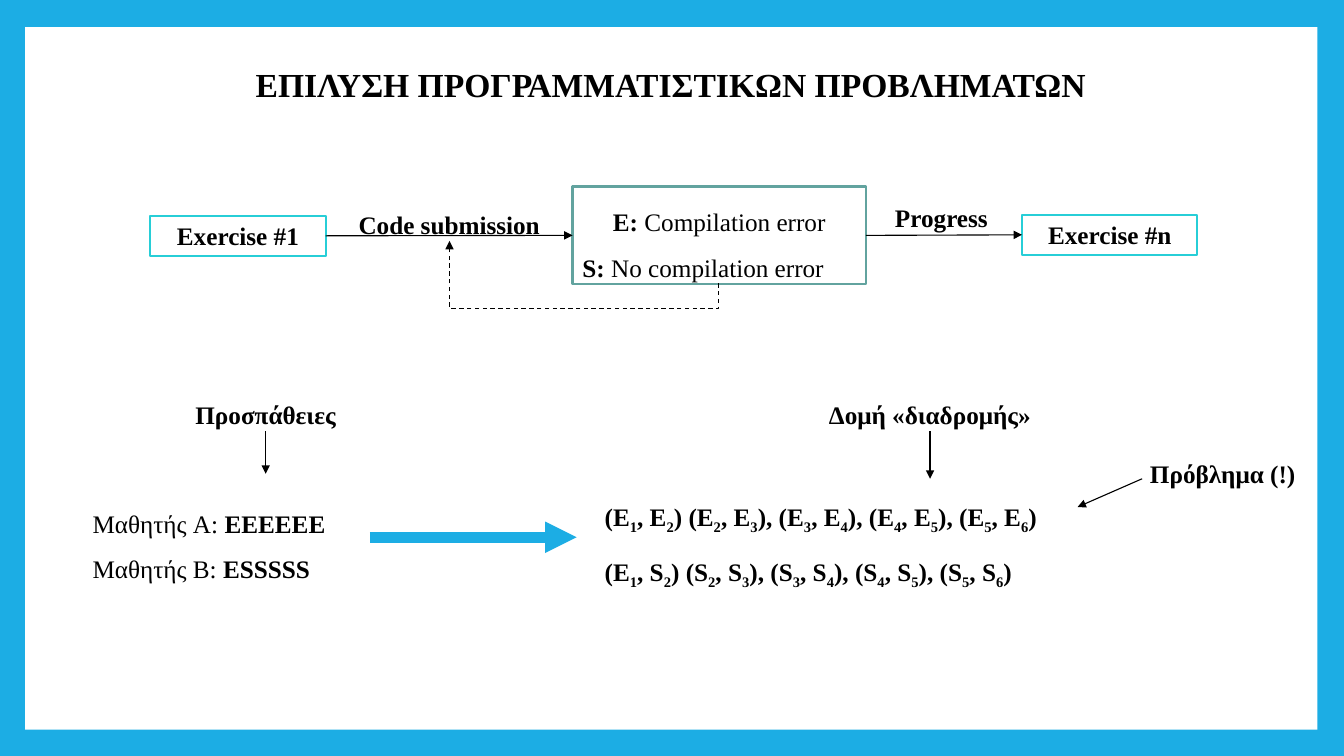
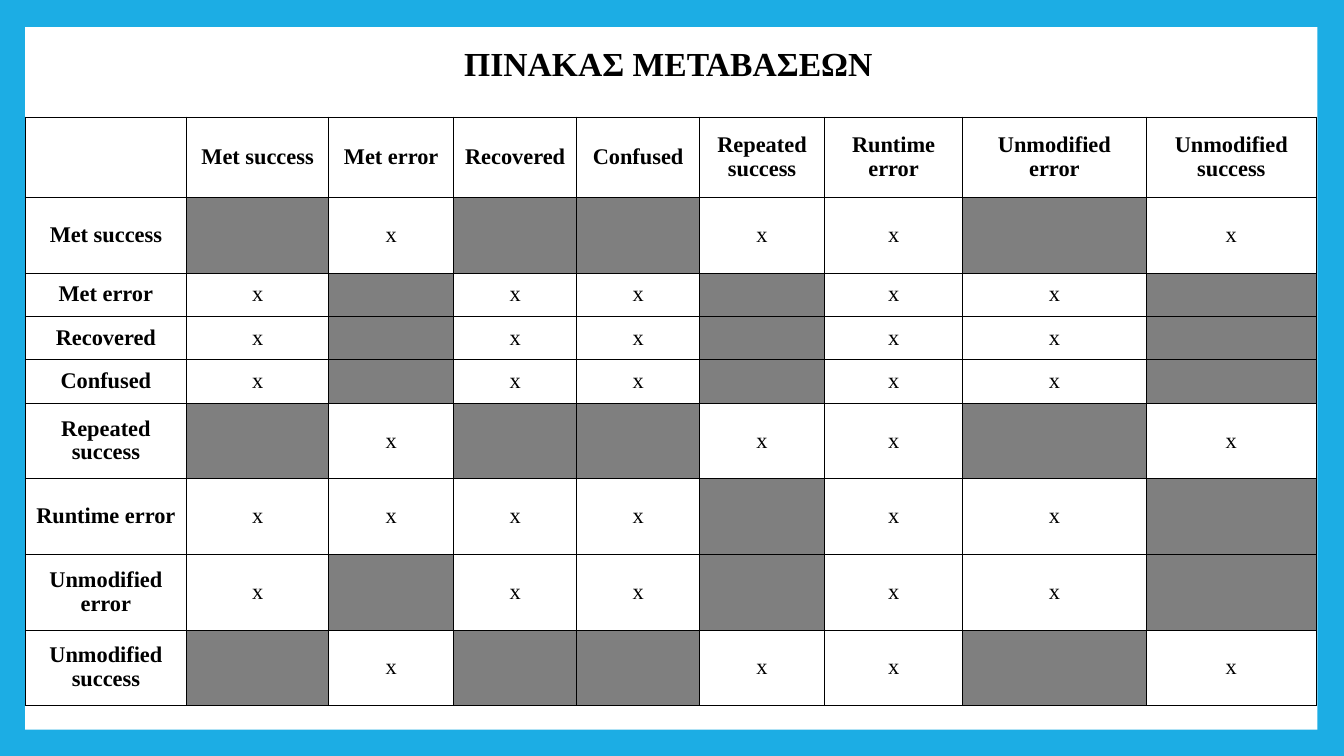
"""Build two slides on programming exercises: the solving process and its transition table."""
import itertools
from dataclasses import dataclass
from typing import Any, NamedTuple

import lxml.etree
import pptx
import pptx.dml.color
import pptx.enum.dml
import pptx.enum.shapes
import pptx.enum.text
import pptx.oxml
import pptx.oxml.ns
import pptx.presentation
import pptx.shapes.autoshape
import pptx.shapes.connector
import pptx.slide
import pptx.table
import pptx.text.text
import pptx.util

SLIDE_WIDTH = pptx.util.Inches(13.333)
SLIDE_HEIGHT = pptx.util.Inches(7.5)
FONT = "Times New Roman"
COLORS = {
    "frame": "1CADE4",
    "panel": "FFFFFF",
    "ink": "000000",
    "exercise": "27CED7",
    "result": "62A39F",
    "impossible": "7F7F7F",
}
ALIGN = pptx.enum.text.PP_ALIGN
ANCHOR = pptx.enum.text.MSO_ANCHOR
CONNECTOR = pptx.enum.shapes.MSO_CONNECTOR
RECTANGLE = pptx.enum.shapes.MSO_SHAPE.RECTANGLE
CENTERED = {"alignment": ALIGN.CENTER}
SPACED = {"line_spacing": 1.5}
LABEL = CENTERED | SPACED
CELL = CENTERED | {"line_spacing": 0.95}
TOP_FRAME = {"word_wrap": True, "vertical_anchor": ANCHOR.TOP}
MIDDLE_FRAME = {"word_wrap": True, "vertical_anchor": ANCHOR.MIDDLE}
TITLE_FRAME = TOP_FRAME | {"auto_size": pptx.enum.text.MSO_AUTO_SIZE.NONE}


class Area(NamedTuple):
    """Hold a place in percent of the slide's width and height."""

    left: float
    top: float
    width: float
    height: float


class Point(NamedTuple):
    """Hold a point in percent of the slide's width and height."""

    x: float
    y: float


class Run(NamedTuple):
    """Hold a stretch of text in one style."""

    text: str
    bold: bool = True
    subscript: bool = False


Lines = list[list[Run]]


@dataclass(frozen=True)
class Block:
    """Describe a text block, outlined when it has a line colour."""

    area: Area
    lines: Lines
    paragraph: dict[str, Any]
    outline: str = ""
    frame: dict[str, Any] | None = None


@dataclass(frozen=True)
class Arrow:
    """Describe a straight arrow."""

    start: Point
    end: Point
    color: str = "ink"
    weight: float = 0.79


def across(share: float) -> int:
    """Turn a percentage of the slide's width into a length."""
    return round(SLIDE_WIDTH * share / 100)


def down(share: float) -> int:
    """Turn a percentage of the slide's height into a length."""
    return round(SLIDE_HEIGHT * share / 100)


def box(area: Area) -> tuple[int, int, int, int]:
    """Turn an area into left, top, width and height."""
    return across(area.left), down(area.top), across(area.width), down(area.height)


def rgb(name: str) -> pptx.dml.color.RGBColor:
    """Look up a colour."""
    return pptx.dml.color.RGBColor.from_string(COLORS[name])


def apply_format(target: Any, values: dict[str, Any]) -> None:
    """Set each attribute named in the format values."""
    for name, value in values.items():
        setattr(target, name, value)


def fill_solid(target: Any, color: str) -> None:
    """Give a shape, cell or background a solid fill."""
    target.fill.solid()
    target.fill.fore_color.rgb = rgb(color)


def write(frame: pptx.text.text.TextFrame, lines: Lines, style: dict[str, Any], size: float = 18) -> None:
    """Write lines of styled runs into a text frame."""
    for index, line in enumerate(lines):
        paragraph = frame.add_paragraph() if index else frame.paragraphs[0]
        apply_format(paragraph, style)
        for part in line:
            run = paragraph.add_run()
            run.text = part.text
            apply_format(run.font, {"name": FONT, "size": pptx.util.Pt(size), "bold": part.bold})
            run.font.color.rgb = rgb("ink")
            if part.subscript:
                run._r.get_or_add_rPr().set("baseline", "-25000")


def add_block(slide: pptx.slide.Slide, block: Block) -> pptx.shapes.autoshape.Shape:
    """Draw a text block."""
    if block.outline:
        shape = slide.shapes.add_shape(RECTANGLE, *box(block.area))
        shape.shadow.inherit = False
        fill_solid(shape, "panel")
        shape.line.color.rgb = rgb(block.outline)
        shape.line.width = pptx.util.Pt(1.5)
    else:
        shape = slide.shapes.add_textbox(*box(block.area))
    apply_format(shape.text_frame, block.frame or TOP_FRAME)
    write(shape.text_frame, block.lines, block.paragraph)
    return shape


def add_arrow(slide: pptx.slide.Slide, arrow: Arrow, kind: Any = CONNECTOR.STRAIGHT) -> pptx.shapes.connector.Connector:
    """Draw a connector with a triangular head at its end."""
    start, end = arrow.start, arrow.end
    connector = slide.shapes.add_connector(kind, across(start.x), down(start.y), across(end.x), down(end.y))
    connector.line.color.rgb = rgb(arrow.color)
    connector.line.width = pptx.util.Pt(arrow.weight)
    line = connector.line._get_or_add_ln()
    lxml.etree.SubElement(line, pptx.oxml.ns.qn("a:tailEnd"), type="triangle")
    lxml.etree.SubElement(connector.element.spPr, pptx.oxml.ns.qn("a:effectLst"))
    return connector


def add_retry_loop(slide: pptx.slide.Slide, start: Point, end: Point, drop: float) -> None:
    """Draw the dashed way back, which drops below its start before turning up to its end."""
    loop = add_arrow(slide, Arrow(start, end), CONNECTOR.ELBOW)
    center_x = across((start.x + end.x) / 2)
    center_y = down((start.y + end.y) / 2)
    rise, run = down(start.y - end.y), across(start.x - end.x)
    apply_format(loop, {"left": center_x - rise // 2, "top": center_y - run // 2, "width": rise, "height": run})
    loop.line.dash_style = pptx.enum.dml.MSO_LINE.DASH
    transform = loop.element.spPr.xfrm
    for name, value in {"rot": "5400000", "flipH": "1", "flipV": "0"}.items():
        transform.set(name, value)
    guides = loop.element.spPr.prstGeom.get_or_add_avLst()
    bend = round(-100000 * drop / (start.y - end.y))
    lxml.etree.SubElement(guides, pptx.oxml.ns.qn("a:gd"), name="adj1", fmla=f"val {bend}")


def add_titled_slide(deck: pptx.presentation.Presentation, title: str, area: Area) -> pptx.slide.Slide:
    """Add a slide and set its title."""
    slide = deck.slides.add_slide(deck.slide_layouts.get_by_name("Title Only"))
    heading = slide.shapes.title
    apply_format(heading, dict(zip(("left", "top", "width", "height"), box(area))))
    apply_format(heading.text_frame, TITLE_FRAME)
    write(heading.text_frame, [[Run(title)]], CENTERED, 24)
    return slide


def transitions(attempts: str) -> list[Run]:
    """Pair each attempt with the next one, numbering them in subscript."""
    runs = []
    for number, (current, following) in enumerate(itertools.pairwise(attempts), 1):
        opening = {1: "(", 2: ") ("}.get(number, "), (")
        runs += [
            Run(opening + current), Run(str(number), subscript=True),
            Run(", " + following), Run(str(number + 1), subscript=True),
        ]
    return runs + [Run(")")]


def add_master_frame(slide: pptx.slide.Slide, deck: pptx.presentation.Presentation) -> None:
    """Put the coloured frame and the white panel on the slide master."""
    master = deck.slide_master
    fill_solid(master.background, "frame")
    panel = slide.shapes.add_shape(RECTANGLE, *box(Area(1.88, 3.6, 96.15, 92.93)))
    panel.shadow.inherit = False
    fill_solid(panel, "panel")
    panel.line.fill.background()
    master.element.cSld.spTree.insert(2, panel.element)


def draw_process(slide: pptx.slide.Slide) -> None:
    """Draw the exercise flow and the paths of two students."""
    first, last = (
        add_block(slide, Block(Area(left, top, 13.05, 5.33), [[Run(name)]], CENTERED, "exercise", MIDDLE_FRAME))
        for name, left, top in (("Exercise #1", 11.18, 28.53), ("Exercise #n", 76.05, 28.4))
    )
    outcomes = [[Run("E: "), Run("Compilation error", False)], [Run("S: "), Run("No compilation error", False)]]
    result = add_block(slide, Block(Area(42.6, 24.67, 21.83, 12.93), outcomes, SPACED, "result"))
    for source, target in ((first, result), (result, last)):
        step = add_arrow(slide, Arrow(Point(24, 31), Point(42, 31)))
        step.begin_connect(source, 3)
        step.end_connect(target, 1)
    add_retry_loop(slide, Point(53.48, 37.47), Point(33.45, 31.87), 3.3)

    labels = (
        ("Code submission", 24.23, 25.07, 18.38),
        ("Progress", 64.05, 24.13, 12),
        ("Προσπάθειες", 4.05, 50.13, 31.43),
        ("Δομή «διαδρομής»", 53.48, 50.13, 31.43),
        ("Πρόβλημα (!)", 82.2, 58, 17.55),
    )
    for text, left, top, width in labels:
        add_block(slide, Block(Area(left, top, width, 6.8), [[Run(text)]], LABEL))

    students = (("Μαθητής A: ", "EEEEEE", 63.33), ("Μαθητής Β: ", "ESSSSS", 70.67))
    attempts = [[Run(name, False), Run(results)] for name, results, _ in students]
    add_block(slide, Block(Area(6.15, 64.53, 20.1, 12.93), attempts, SPACED))
    for _, results, top in students:
        add_block(slide, Block(Area(44.25, top, 50.03, 6.8), [transitions(results)], SPACED))

    arrows = (
        Arrow(Point(27.53, 71.07), Point(42.9, 71.07), "frame", 7.5),
        Arrow(Point(19.77, 57.07), Point(19.77, 62.67)),
        Arrow(Point(69.2, 57.07), Point(69.2, 63.33)),
        Arrow(Point(84.98, 63.33), Point(80.18, 67.07)),
    )
    for arrow in arrows:
        add_arrow(slide, arrow)


def add_borders(cell: pptx.table._Cell) -> None:
    """Draw a thin border on each side of a cell."""
    properties = cell._tc.get_or_add_tcPr()
    for index, side in enumerate(("lnL", "lnR", "lnT", "lnB")):
        properties.insert(index, pptx.oxml.parse_xml(
            f'<a:{side} {pptx.oxml.ns.nsdecls("a")} w="6350"><a:solidFill>'
            f'<a:srgbClr val="{COLORS["ink"]}"/></a:solidFill></a:{side}>'
        ))


def draw_transition_table(slide: pptx.slide.Slide) -> None:
    """Draw the table of possible transitions, with the impossible ones greyed out."""
    after_success, after_error = "-x--xx-x", "x-xx-xx-"
    possible = {
        "Met success": after_success,
        "Met error": after_error,
        "Recovered": after_error,
        "Confused": after_error,
        "Repeated success": after_success,
        "Runtime error": "xxxx-xx-",
        "Unmodified error": after_error,
        "Unmodified success": after_success,
    }
    widths = (12, 10.58, 9.3, 9.15, 9.15, 9.3, 10.28, 13.65, 12.68)
    heights = (10.67, 10, 5.73, 5.73, 5.73, 10, 10, 10, 10)
    area = Area(1.88, 15.47, sum(widths), sum(heights))
    table = slide.shapes.add_table(len(heights), len(widths), *box(area)).table
    apply_format(table, {"first_row": False, "horz_banding": False})
    for column, width in zip(table.columns, widths):
        column.width = across(width)
    for row, height in zip(table.rows, heights):
        row.height = down(height)
    content = [["", *possible]] + [[state, *marks] for state, marks in possible.items()]
    for row, texts in zip(table.rows, content):
        for cell, text in zip(row.cells, texts):
            fill_solid(cell, "impossible" if text == "-" else "panel")
            add_borders(cell)
            cell.vertical_anchor = ANCHOR.MIDDLE
            if text not in ("", "-"):
                write(cell.text_frame, [[Run(text, text != "x")]], CELL, 16)


def main() -> None:
    """Build and save the presentation."""
    deck = pptx.Presentation()
    apply_format(deck, {"slide_width": SLIDE_WIDTH, "slide_height": SLIDE_HEIGHT})
    process = add_titled_slide(deck, "ΕΠΙΛΥΣΗ ΠΡΟΓΡΑΜΜΑΤΙΣΤΙΚΩΝ ΠΡΟΒΛΗΜΑΤΩΝ", Area(1.95, 7.73, 95.93, 6.67))
    add_master_frame(process, deck)
    draw_process(process)
    draw_transition_table(add_titled_slide(deck, "ΠΙΝΑΚΑΣ ΜΕΤΑΒΑΣΕΩΝ", Area(1.88, 5.07, 95.7, 6.67)))
    deck.save("out.pptx")


if __name__ == "__main__":
    main()
